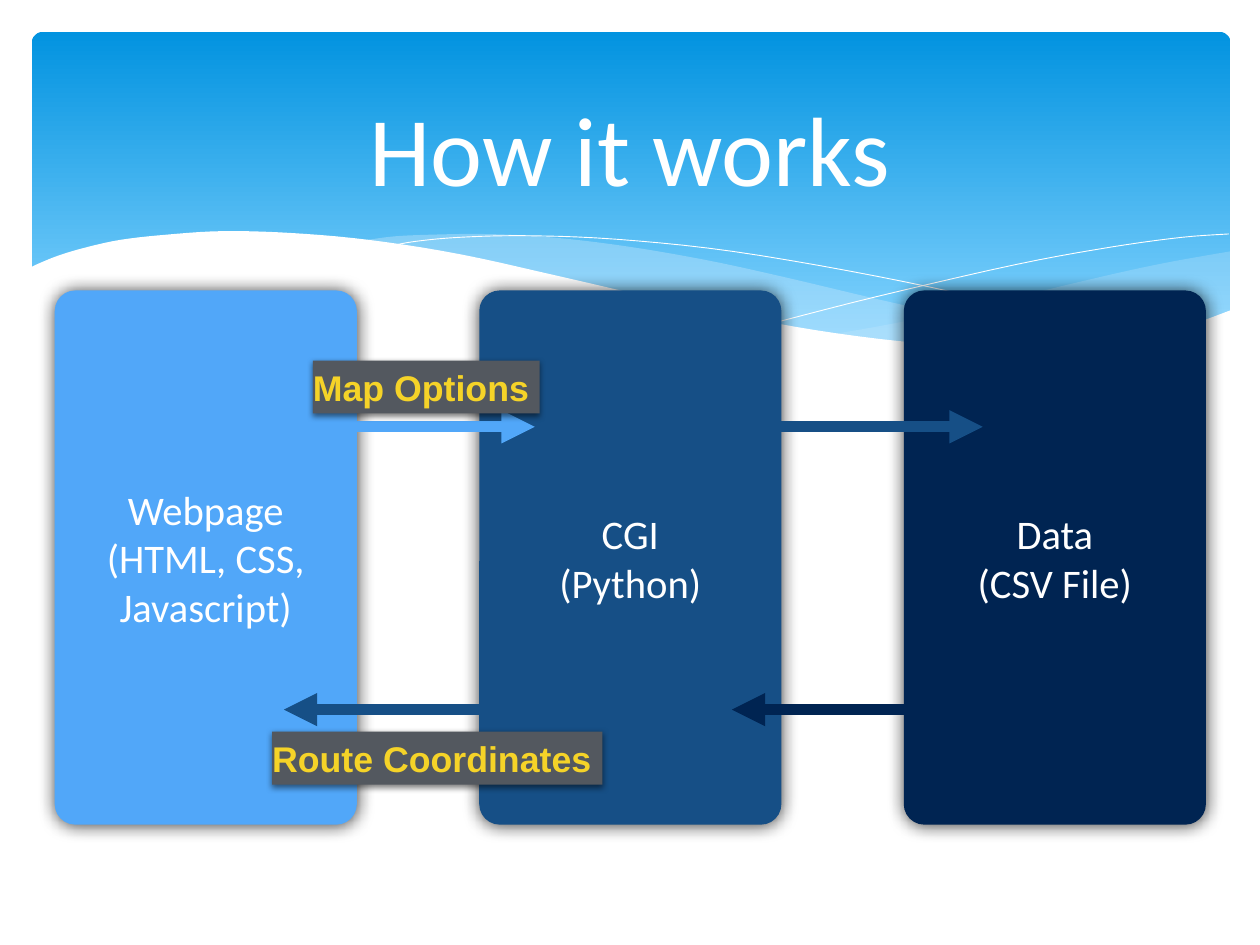
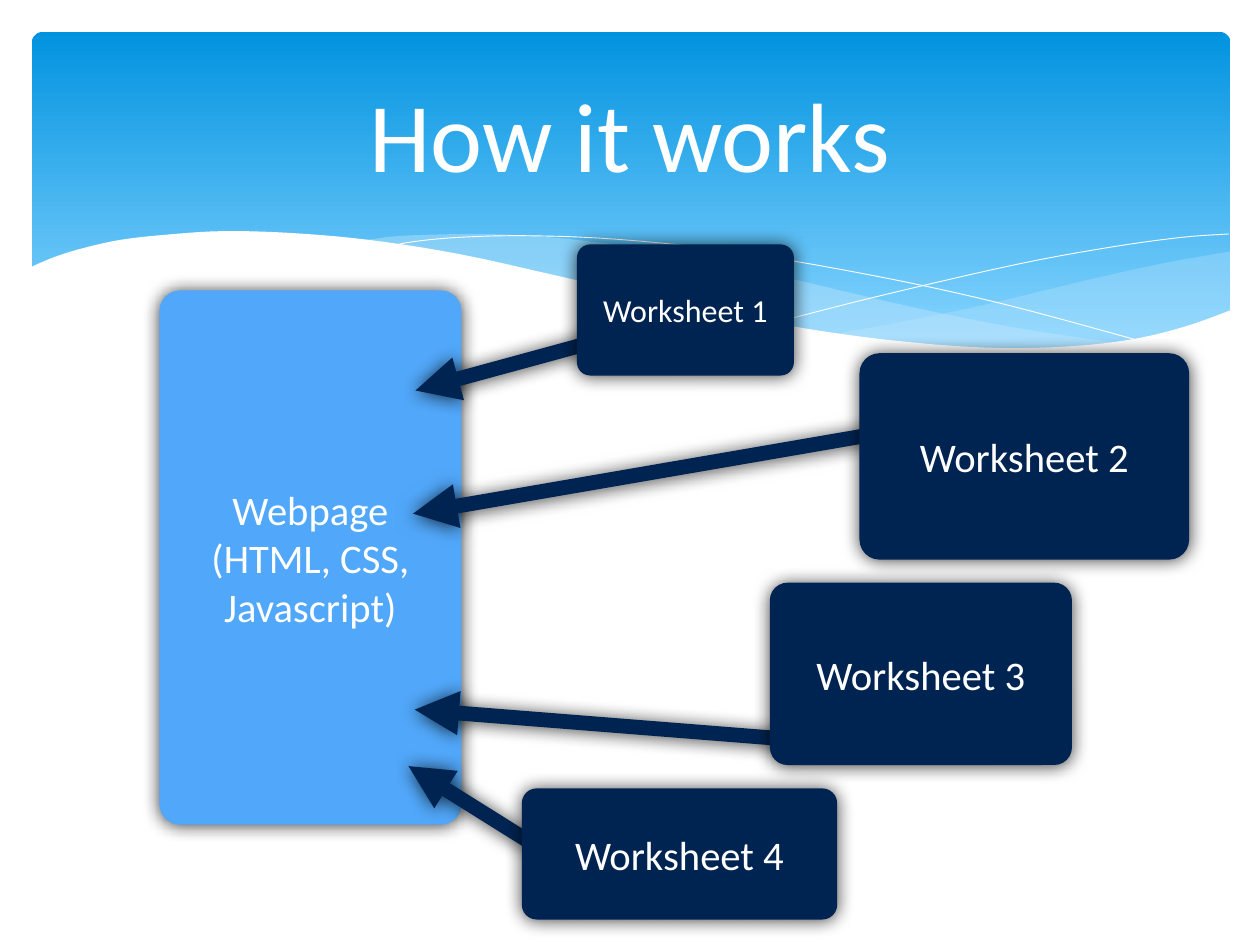
from lxml.etree import SubElement
from pptx import Presentation
from pptx.dml.color import RGBColor
from pptx.enum.shapes import MSO_CONNECTOR, MSO_SHAPE
from pptx.enum.text import MSO_ANCHOR, PP_ALIGN
from pptx.oxml.ns import qn
from pptx.util import Cm, Pt

WHITE = RGBColor(0xFF, 0xFF, 0xFF)
BANNER_TOP = RGBColor(0x02, 0x93, 0xE0)
BANNER_END = RGBColor(0x83, 0xD3, 0xFE)
PALE = RGBColor(0xC6, 0xE7, 0xFC)
SKY = RGBColor(0x51, 0xA7, 0xF9)
BLUE = RGBColor(0x16, 0x4F, 0x86)
NAVY = RGBColor(0x00, 0x24, 0x52)
GREY = RGBColor(0x53, 0x58, 0x5F)
YELLOW = RGBColor(0xF5, 0xD3, 0x28)

SLIDE_W, SLIDE_H = 36.12, 27.1
COLUMN_W, COLUMN_H, COLUMN_TOP = 8.66, 15.32, 8.33

# Shadows: opacity in percent, blur and distance in points
SOFT_SHADOW = (75, 15, 0.7)
LABEL_SHADOW = (50, 5, 2)

# Wave outlines, in centimetres
RIGHT_WAVE_TOP = [(35.26, 7.21), (33.25, 7.57), (31.09, 8.05), (28.14, 8.76),
                  (25.5, 9.3), (23.9, 9.58)]
RIGHT_WAVE_BASE = [(23.9, 9.58), (25.96, 9.86), (27.79, 9.98), (29.41, 10.03),
                   (30.84, 9.96), (32.13, 9.81), (33.27, 9.58), (34.29, 9.3),
                   (35.26, 8.92)]
MIDDLE_WAVE_TOP = [(32.26, 9.86), (30.25, 9.58), (27.99, 9.19), (25.5, 8.66),
                   (22.71, 8), (20.55, 7.52), (18.57, 7.16), (16.79, 6.91),
                   (15.16, 6.76), (13.72, 6.71), (12.42, 6.73), (11.3, 6.78),
                   (10.34, 6.91)]
MIDDLE_WAVE_BASE = [(10.34, 6.91), (12.37, 7.19), (14.61, 7.62), (16.23, 8),
                    (19.13, 8.69), (21.72, 9.22), (24.03, 9.63), (26.09, 9.88),
                    (27.91, 10.03), (29.54, 10.06), (30.99, 10.01), (32.26, 9.86)]
FALLING_LINE = [(11.18, 7.06), (11.86, 6.93), (13.11, 6.81), (15.04, 6.76),
                (17.65, 6.86), (21.01, 7.21), (25.12, 7.92), (28.73, 8.71),
                (32.77, 9.8)]
RISING_LINE = [(22.15, 9.27), (25.12, 8.51), (29.11, 7.59), (31.83, 7.09),
               (33.86, 6.81), (35.23, 6.71)]
WHITE_WAVE = [(35.3, 8.89), (33.96, 9.37), (32.46, 9.73), (30.71, 9.93),
              (28.65, 9.98), (26.24, 9.83), (23.39, 9.47), (20.04, 8.84),
              (16.15, 7.95), (13.18, 7.29), (10.57, 6.88), (8.31, 6.68),
              (6.38, 6.63), (4.78, 6.73), (3.45, 6.88), (2.41, 7.11),
              (1.65, 7.34), (1.04, 7.59), (0.84, 7.7)]
WHITE_CORNERS = [(0.84, 11.89), (35.3, 11.89)]


def smooth(knots, steps=5):
    """Return points on a Catmull-Rom curve through the knots."""
    ends = [knots[0], *knots, knots[-1]]
    points = [knots[0]]
    for a, b, c, d in zip(ends, ends[1:], ends[2:], ends[3:]):
        for step in range(1, steps + 1):
            t = step / steps
            points.append(tuple(
                q + t / 2 * (r - p + t * (2 * p - 5 * q + 4 * r - s
                                          + t * (3 * (q - r) + s - p)))
                for p, q, r, s in zip(a, b, c, d)))
    return points


class Painter:
    """Holds the deck style and the slide being drawn."""

    def __init__(self):
        self.deck = Presentation()
        self.deck.slide_width, self.deck.slide_height = Cm(SLIDE_W), Cm(SLIDE_H)
        self.page = None

    def new_page(self, title_top, title_height):
        self.page = self.deck.slides.add_slide(self.deck.slide_layouts[6])
        self.banner()
        self.title("How it works", title_top, title_height)

    # Shared background
    def banner(self):
        panel = self.shape(MSO_SHAPE.ROUNDED_RECTANGLE, (0.91, 0.91, 34.37, 9.75), BANNER_TOP)
        panel.adjustments[0] = 0.034
        panel.fill.gradient()
        panel.fill.gradient_angle = 270
        stops = zip(panel.fill.gradient_stops, (BANNER_TOP, BANNER_END), (0, 0.9))
        for stop, color, position in stops:
            stop.color.rgb, stop.position = color, position
        self.wave(smooth(RIGHT_WAVE_TOP) + smooth(RIGHT_WAVE_BASE), PALE, 29)
        self.wave(smooth(MIDDLE_WAVE_TOP) + smooth(MIDDLE_WAVE_BASE), PALE, 40)
        self.wave(smooth(FALLING_LINE))
        self.wave(smooth(RISING_LINE))
        self.wave(smooth(WHITE_WAVE) + WHITE_CORNERS, WHITE)

    def wave(self, points, color=None, opacity=100):
        """Draw a filled wave, or a white hairline when no colour is given."""
        (x, y), *rest = [(Cm(x), Cm(y)) for x, y in points]
        builder = self.page.shapes.build_freeform(x, y)
        builder.add_line_segments(rest, close=color is not None)
        outline = builder.convert_to_shape()
        outline.shadow.inherit = False
        if color is None:
            outline.fill.background()
            outline.line.color.rgb = WHITE
            outline.line.width = Pt(0)
            return
        outline.fill.solid()
        outline.fill.fore_color.rgb = color
        outline.line.fill.background()
        if opacity < 100:
            tone = outline.element.spPr.find(qn("a:solidFill"))[0]
            SubElement(tone, qn("a:alpha"), val=str(opacity * 1000))

    # Text
    def add_text(self, frame, lines, size, color, font="Calibri", bold=False,
                 align=PP_ALIGN.CENTER, insets=(0, 0)):
        frame.word_wrap = True
        frame.vertical_anchor = MSO_ANCHOR.MIDDLE
        frame.margin_left = frame.margin_right = Cm(insets[0])
        frame.margin_top = frame.margin_bottom = Cm(insets[1])
        for index, line in enumerate(lines):
            para = frame.add_paragraph() if index else frame.paragraphs[0]
            para.alignment = align
            span = para.add_run()
            span.text = line
            span.font.name, span.font.size = font, Pt(size)
            span.font.bold, span.font.color.rgb = bold, color

    def title(self, text, top, height):
        margin = 1.8
        box = self.page.shapes.add_textbox(
            Cm(margin), Cm(top), Cm(SLIDE_W - 2 * margin), Cm(height))
        self.add_text(box.text_frame, [text], 80, WHITE, insets=(0.36, 0.18))

    # Shapes
    def cast_shadow(self, effects, shadow):
        opacity, blur, distance = shadow
        cast = SubElement(effects, qn("a:outerShdw"), blurRad=str(int(Pt(blur))),
                          dist=str(int(Pt(distance))), dir="5400000", rotWithShape="0")
        tone = SubElement(cast, qn("a:srgbClr"), val="000000")
        SubElement(tone, qn("a:alpha"), val=str(opacity * 1000))

    def shape(self, kind, place, color, shadow=None):
        shape = self.page.shapes.add_shape(kind, *(Cm(length) for length in place))
        shape.shadow.inherit = False
        shape.fill.solid()
        shape.fill.fore_color.rgb = color
        shape.line.fill.background()
        if shadow:
            self.cast_shadow(shape.element.spPr.find(qn("a:effectLst")), shadow)
        return shape

    def box(self, lines, place, color, corner=0.068, size=33):
        box = self.shape(MSO_SHAPE.ROUNDED_RECTANGLE, place, color, SOFT_SHADOW)
        box.adjustments[0] = corner
        self.add_text(box.text_frame, lines, size, WHITE)

    def column(self, lines, left, color):
        self.box(lines, (left, COLUMN_TOP, COLUMN_W, COLUMN_H), color)

    def label(self, text, left, top, width):
        label = self.shape(MSO_SHAPE.RECTANGLE, (left, top, width, 1.52), GREY, LABEL_SHADOW)
        self.add_text(label.text_frame, [text], 29, YELLOW, "Arial", True, PP_ALIGN.LEFT)

    def arrow(self, start, end, color, width, shadow=None):
        arrow = self.page.shapes.add_connector(
            MSO_CONNECTOR.STRAIGHT, *(Cm(length) for length in (*start, *end)))
        arrow.line.color.rgb = color
        arrow.line.width = Pt(width)
        outline = arrow.element.spPr
        SubElement(outline.find(qn("a:ln")), qn("a:tailEnd"), type="triangle")
        effects = SubElement(outline, qn("a:effectLst"))
        if shadow:
            self.cast_shadow(effects, shadow)


WEBPAGE = ["Webpage", "(HTML, CSS, Javascript)"]


def draw_request_flow(painter):
    painter.new_page(1.22, 5.99)
    columns = [(WEBPAGE, SKY), (["CGI", "(Python)"], BLUE), (["Data", "(CSV File)"], NAVY)]
    for index, (lines, color) in enumerate(columns):
        painter.column(lines, 1.57 + 12.17 * index, color)

    # Requests run right, answers run left
    arrow_step, arrow_length = 12.84, 7.36
    for index in range(2):
        request, answer = 7.97 + arrow_step * index, 15.5 + arrow_step * index
        painter.arrow((request, 12.24), (request + arrow_length, 12.24), columns[index][1], 9)
        painter.arrow((answer, 20.35), (answer - arrow_length, 20.35), columns[index + 1][1], 9)

    painter.label("Map Options", 8.97, 10.34, 6.5)
    painter.label("Route Coordinates", 7.8, 20.98, 9.47)


def draw_worksheets(painter):
    painter.new_page(1.35, 4.95)
    painter.column(WEBPAGE, 4.57, SKY)

    # Arrows lie beneath the worksheets
    for start, end in [((23.01, 21.23), (11.89, 20.35)), ((25.53, 12.37), (11.84, 14.73)),
                       ((17.48, 9.68), (11.91, 11.2)), ((15.21, 24.16), (11.71, 21.97))]:
        painter.arrow(start, end, NAVY, 12, SOFT_SHADOW)
    for number, place, corner, size in [
            (3, (22.07, 16.71, 8.66, 5.23), 0.097, 33),
            (2, (24.64, 10.13, 9.45, 5.92), 0.097, 33),
            (1, (16.54, 7.01, 6.22, 3.76), 0.101, 26),
            (4, (14.96, 22.61, 9.04, 3.76), 0.113, 33)]:
        painter.box([f"Worksheet {number}"], place, NAVY, corner, size)


def main():
    painter = Painter()
    draw_request_flow(painter)
    draw_worksheets(painter)
    painter.deck.save("out.pptx")


if __name__ == "__main__":
    main()
